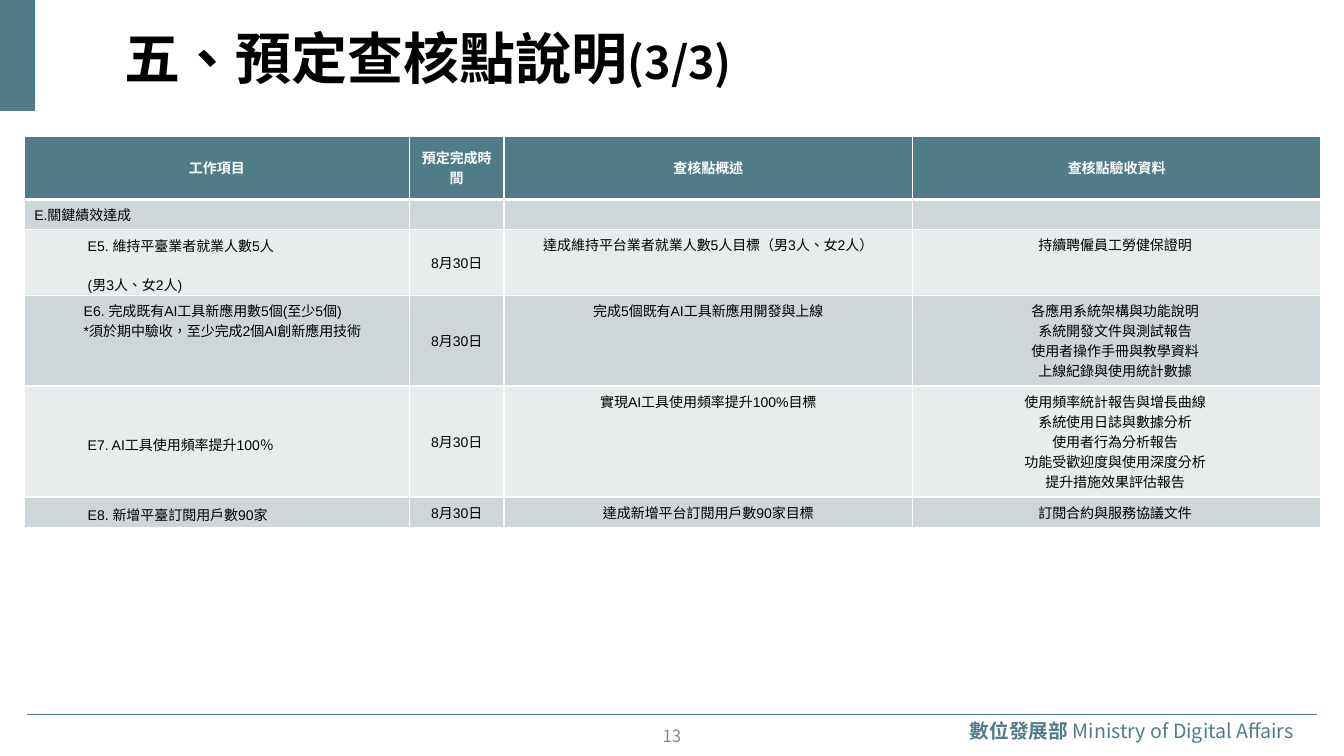
from dataclasses import dataclass

from lxml import etree
from pptx import Presentation
from pptx.dml.color import RGBColor
from pptx.enum.lang import MSO_LANGUAGE_ID
from pptx.enum.shapes import MSO_CONNECTOR, MSO_SHAPE
from pptx.enum.text import MSO_ANCHOR, PP_ALIGN
from pptx.oxml.ns import qn
from pptx.util import Inches, Pt

LEFT, CENTER, JUSTIFY = PP_ALIGN.LEFT, PP_ALIGN.CENTER, PP_ALIGN.JUSTIFY
TOP, MIDDLE = MSO_ANCHOR.TOP, MSO_ANCHOR.MIDDLE
CHINESE = MSO_LANGUAGE_ID.TRADITIONAL_CHINESE
SANS, ARIAL = "Noto Sans CJK TC", "Arial"
TEAL, WHITE, BLACK, GREY = "507C89", "FFFFFF", "000000", "888888"
BANDS = ("CFD6D9", "E8ECED")
COLUMN_WIDTHS = (3.82, 0.94, 4.05, 4.05)
ROW_HEIGHTS = (0.63, 0.3, 0.65, 0.9, 1.1, 0.3)
HEADERS = ("工作項目", "預定完成時間", "查核點概述", "查核點驗收資料")
DUE_DATE = "8月30日"


@dataclass(frozen=True)
class Line:
    """One paragraph, with its indents in inches and spacing before in points."""
    text: str
    align: PP_ALIGN = CENTER
    margin: float = 0
    indent: float = 0
    spacing: float | None = None
    before: float = 0


@dataclass(frozen=True)
class CellText:
    lines: tuple[Line, ...] = ()
    anchor: MSO_ANCHOR = TOP
    margins: tuple[float, float] = (0.1, 0.05)


def centered(*texts: str, anchor: MSO_ANCHOR = TOP) -> CellText:
    return CellText(tuple(Line(text) for text in texts), anchor)


def work_item(*texts: str) -> CellText:
    """Justified work item whose later paragraphs stand 10 pt apart."""
    lines = tuple(Line(text, JUSTIFY, 0.04, 0.55, 1.25, 10 if index else 0)
                  for index, text in enumerate(texts))
    return CellText(lines, MIDDLE, (0.04, 0))


def checkpoint(item: CellText, summary: str, *evidence: str) -> tuple[CellText, ...]:
    return item, centered(DUE_DATE, anchor=MIDDLE), centered(summary), centered(*evidence)


ROWS = (
    (CellText((Line("E.關鍵績效達成", LEFT),)), CellText(), CellText(), CellText()),
    checkpoint(work_item("E5. 維持平臺業者就業人數5人 ", "(男3人、女2人)"),
               "達成維持平台業者就業人數5人目標（男3人、女2人）",
               "持續聘僱員工勞健保證明 "),
    checkpoint(CellText((Line("E6. 完成既有AI工具新應用數5個(至少5個)", LEFT, indent=0.49),
                         Line("*須於期中驗收，至少完成2個AI創新應用技術", LEFT, margin=0.49))),
               "完成5個既有AI工具新應用開發與上線",
               "各應用系統架構與功能說明 ", "系統開發文件與測試報告 ",
               "使用者操作手冊與教學資料 ", "上線紀錄與使用統計數據 "),
    checkpoint(work_item("E7. AI工具使用頻率提升100％"),
               "實現AI工具使用頻率提升100%目標",
               "使用頻率統計報告與增長曲線 ", "系統使用日誌與數據分析 ", "使用者行為分析報告 ",
               "功能受歡迎度與使用深度分析 ", "提升措施效果評估報告 "),
    checkpoint(work_item("E8. 新增平臺訂閱用戶數90家"),
               "達成新增平台訂閱用戶數90家目標",
               "訂閱合約與服務協議文件 "),
)


def color(value: str) -> RGBColor:
    return RGBColor.from_string(value)


def add_text(paragraph, text: str, *, size: float, font: str = SANS,
             fill: str = BLACK, bold: bool = False) -> None:
    run = paragraph.add_run()
    run.text = text
    run.font.size = Pt(size)
    run.font.name = font
    run.font.bold = bold
    run.font.language_id = CHINESE
    run.font.color.rgb = color(fill)
    east_asian = etree.Element(qn("a:ea"), typeface=SANS)
    run.font._element.find(qn("a:latin")).addnext(east_asian)


def add_text_box(slide, left: float, top: float, width: float, height: float,
                 align: PP_ALIGN, vertical_margin: float = 0.04):
    """Add a vertically centred box and return its first paragraph."""
    frame = slide.shapes.add_textbox(Inches(left), Inches(top),
                                     Inches(width), Inches(height)).text_frame
    frame.word_wrap = True
    frame.vertical_anchor = MIDDLE
    frame.margin_left = frame.margin_right = Inches(0.08)
    frame.margin_top = frame.margin_bottom = Inches(vertical_margin)
    paragraph = frame.paragraphs[0]
    paragraph.alignment = align
    return paragraph


def set_borders(cell, top: float, bottom: float) -> None:
    properties = cell._tc.get_or_add_tcPr()
    for side, width in (("L", 1), ("R", 1), ("T", top), ("B", bottom)):
        line = etree.SubElement(properties, qn(f"a:ln{side}"), w=str(Pt(width)))
        solid = etree.SubElement(line, qn("a:solidFill"))
        etree.SubElement(solid, qn("a:srgbClr"), val=WHITE)


def fill_cell(cell, content: CellText, *, fill: str, text_color: str, bold: bool) -> None:
    cell.fill.solid()
    cell.fill.fore_color.rgb = color(fill)
    cell.vertical_anchor = content.anchor
    horizontal, vertical = content.margins
    cell.margin_left = cell.margin_right = Inches(horizontal)
    cell.margin_top = cell.margin_bottom = Inches(vertical)
    frame = cell.text_frame
    if not content.lines:
        etree.SubElement(frame.paragraphs[0]._p, qn("a:endParaRPr"), sz="1000")
    for index, line in enumerate(content.lines):
        paragraph = frame.add_paragraph() if index else frame.paragraphs[0]
        paragraph.alignment = line.align
        if line.spacing:
            paragraph.line_spacing = line.spacing
        if line.before:
            paragraph.space_before = Pt(line.before)
        properties = paragraph._p.get_or_add_pPr()
        properties.set("marL", str(Inches(line.margin)))
        properties.set("indent", str(Inches(line.indent)))
        add_text(paragraph, line.text, size=10, font=ARIAL, fill=text_color, bold=bold)


def add_checkpoint_table(slide) -> None:
    header = tuple(centered(text, anchor=MIDDLE) for text in HEADERS)
    rows = (header, *ROWS)
    table = slide.shapes.add_table(len(rows), len(HEADERS), Inches(0.24), Inches(1.35),
                                   Inches(sum(COLUMN_WIDTHS)), Inches(sum(ROW_HEIGHTS))).table
    for column, width in zip(table.columns, COLUMN_WIDTHS):
        column.width = Inches(width)
    for row_index, (contents, height) in enumerate(zip(rows, ROW_HEIGHTS)):
        is_header = row_index == 0
        table.rows[row_index].height = Inches(height)
        for column_index, content in enumerate(contents):
            cell = table.cell(row_index, column_index)
            set_borders(cell, top=3 if row_index == 1 else 1, bottom=3 if is_header else 1)
            fill_cell(cell, content, bold=is_header,
                      fill=TEAL if is_header else BANDS[(row_index - 1) % 2],
                      text_color=WHITE if is_header else BLACK)


def add_frame(slide) -> None:
    """Add the footer rule, ministry name and corner block."""
    rule = slide.shapes.add_connector(MSO_CONNECTOR.STRAIGHT, Inches(0.27), Inches(7.09),
                                      Inches(13.06), Inches(7.09))
    rule.line.color.rgb = color(TEAL)
    rule.line.width = Pt(0.75)
    etree.SubElement(rule._element.spPr, qn("a:effectLst"))

    ministry = add_text_box(slide, 9.54, 7.09, 3.52, 0.32, JUSTIFY)
    add_text(ministry, "數位發展部 ", size=14, fill=TEAL, bold=True)
    add_text(ministry, "Ministry of Digital Affairs", size=14, fill=TEAL)

    block = slide.shapes.add_shape(MSO_SHAPE.RECTANGLE, 0, 0, Inches(0.35), Inches(1.1))
    block.shadow.inherit = False
    block.fill.solid()
    block.fill.fore_color.rgb = color(TEAL)
    block.line.fill.background()


def main() -> None:
    presentation = Presentation()
    presentation.slide_width = Inches(13.33)
    presentation.slide_height = Inches(7.5)
    slide = presentation.slides.add_slide(presentation.slide_layouts[6])

    add_frame(slide)
    title = add_text_box(slide, 1.15, 0.08, 11.81, 0.98, LEFT)
    add_text(title, "五、預定查核點說明", size=40, bold=True)
    add_text(title, "(3/3)", size=32, bold=True)
    page_number = add_text_box(slide, 5.68, 7.2, 1.97, 0.2, CENTER, vertical_margin=0)
    add_text(page_number, "13", size=12, fill=GREY)
    add_checkpoint_table(slide)

    presentation.save("out.pptx")


if __name__ == "__main__":
    main()
